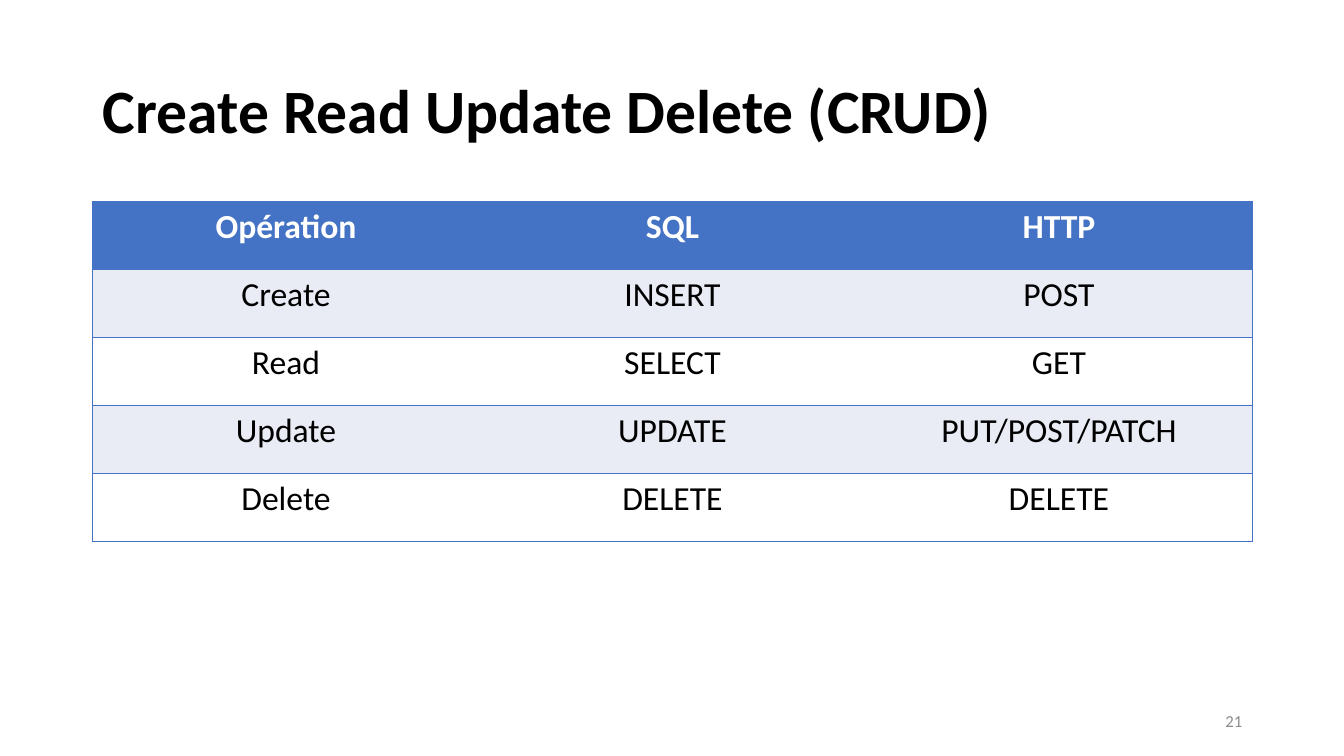
from lxml.etree import SubElement
from pptx import Presentation
from pptx.dml.color import RGBColor
from pptx.enum.text import MSO_ANCHOR, PP_ALIGN
from pptx.oxml.ns import qn
from pptx.util import Inches, Pt

TITLE = "Create Read Update Delete (CRUD)"
OPERATIONS = [
    ("Opération", "SQL", "HTTP"),
    ("Create", "INSERT", "POST"),
    ("Read", "SELECT", "GET"),
    ("Update", "UPDATE", "PUT/POST/PATCH"),
    ("Delete", "DELETE", "DELETE"),
]
PAGE_NUMBER = "21"
COLORS = {
    "header": "4472C4",
    "band": "E9EBF5",
    "white": "FFFFFF",
    "text": "000000",
    "number": "8C8C8C",
}
FONT = "Calibri"
LEFT, WIDTH = 0.92, 11.5
TABLE_TOP, TABLE_HEIGHT = 2, 3.37


def write(frame, text, size, color="text", bold=False, align=PP_ALIGN.LEFT, spacing=1.0):
    frame.word_wrap = True
    paragraph = frame.paragraphs[0]
    paragraph.alignment = align
    paragraph.line_spacing = spacing
    run = paragraph.add_run()
    run.text = text
    run.font.name = FONT
    run.font.size = Pt(size)
    run.font.bold = bold
    run.font.color.rgb = RGBColor.from_string(COLORS[color])


def draw_borders(cell, is_first, is_last):
    properties = cell._tc.get_or_add_tcPr()
    visible = {"lnL": is_first, "lnR": is_last, "lnT": True, "lnB": True}
    for side, shown in visible.items():
        border = SubElement(properties, qn(f"a:{side}"), w=str(Pt(1)))
        if shown:
            fill = SubElement(border, qn("a:solidFill"))
            SubElement(fill, qn("a:srgbClr"), val=COLORS["header"])
        else:
            SubElement(border, qn("a:noFill"))


def add_operations(slide):
    row_count, column_count = len(OPERATIONS), len(OPERATIONS[0])
    operations = slide.shapes.add_table(
        row_count, column_count, Inches(LEFT), Inches(TABLE_TOP),
        Inches(WIDTH), Inches(TABLE_HEIGHT),
    ).table
    for row, words in enumerate(OPERATIONS):
        is_header = row == 0
        background = "header" if is_header else "band" if row % 2 else "white"
        for column, word in enumerate(words):
            cell = operations.cell(row, column)
            draw_borders(cell, column == 0, column == column_count - 1)
            cell.fill.solid()
            cell.fill.fore_color.rgb = RGBColor.from_string(COLORS[background])
            write(cell.text_frame, word, 24, color="white" if is_header else "text",
                  bold=is_header, align=PP_ALIGN.CENTER)


def main():
    presentation = Presentation()
    presentation.slide_width = Inches(13.33)
    presentation.slide_height = Inches(7.5)
    slide = presentation.slides.add_slide(presentation.slide_layouts[5])

    title = slide.shapes.title
    title.left, title.top = Inches(LEFT), Inches(0.4)
    title.width, title.height = Inches(WIDTH), Inches(1.45)
    title.text_frame.vertical_anchor = MSO_ANCHOR.MIDDLE
    write(title.text_frame, TITLE, 44, bold=True, spacing=0.9)

    add_operations(slide)

    page_number = slide.shapes.add_textbox(
        Inches(LEFT + WIDTH - 3), Inches(6.95), Inches(3), Inches(0.4))
    page_number.text_frame.vertical_anchor = MSO_ANCHOR.MIDDLE
    write(page_number.text_frame, PAGE_NUMBER, 12, color="number", align=PP_ALIGN.RIGHT)

    presentation.save("out.pptx")


if __name__ == "__main__":
    main()
